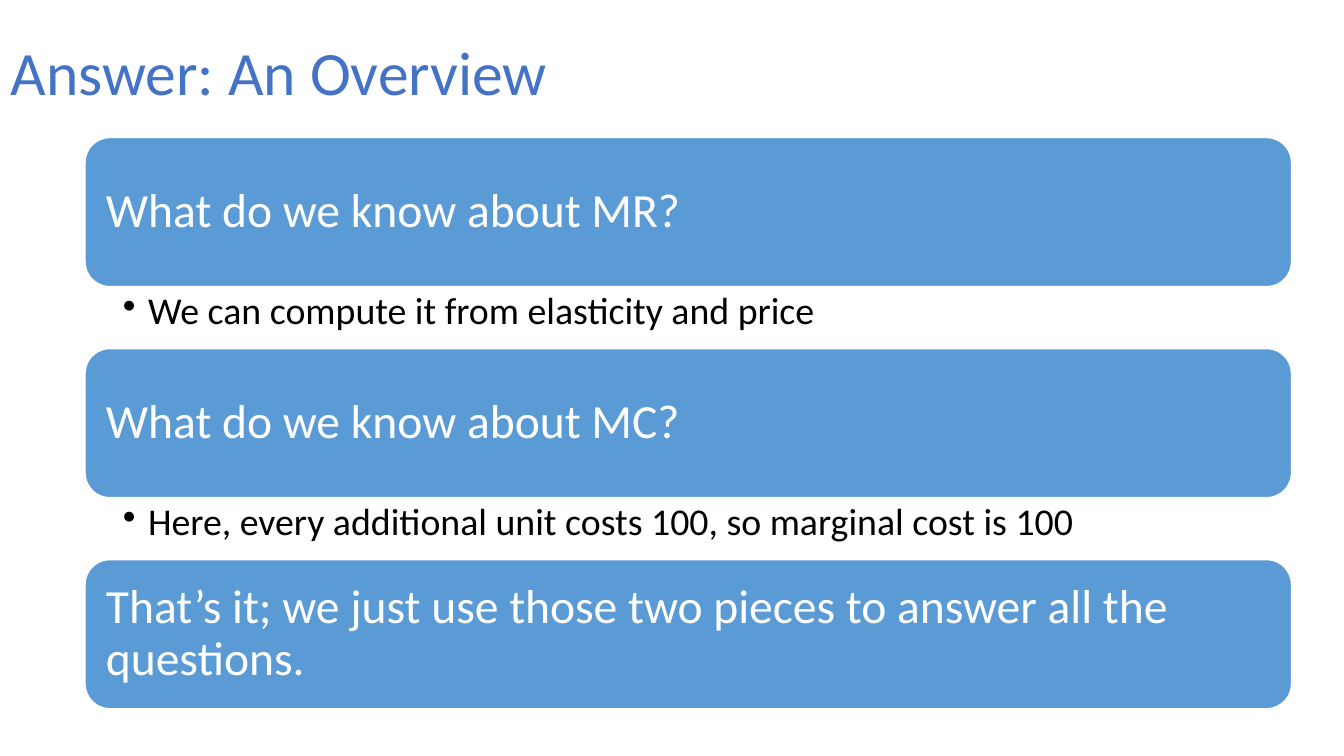
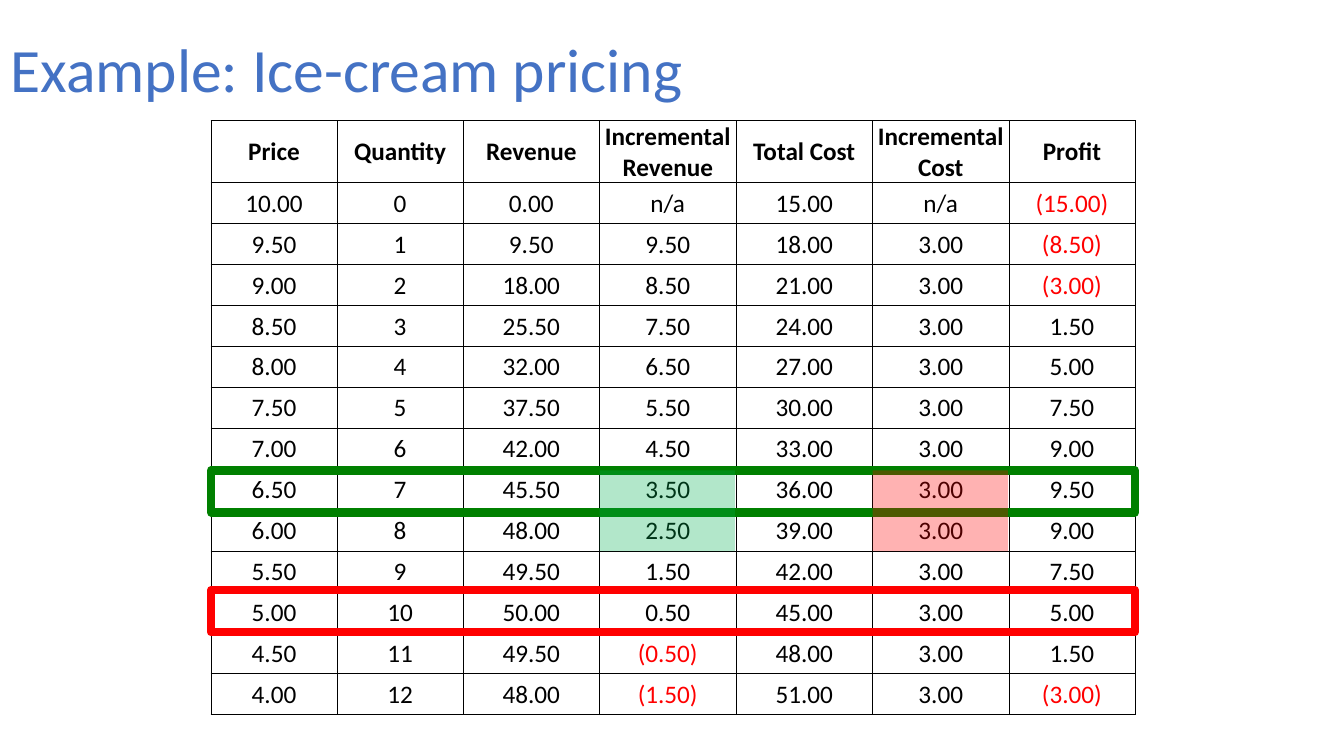
from lxml.etree import SubElement
from pptx import Presentation
from pptx.dml.color import RGBColor
from pptx.enum.shapes import MSO_SHAPE
from pptx.enum.text import MSO_ANCHOR, PP_ALIGN
from pptx.oxml.ns import qn
from pptx.util import Pt

PX = 9525
FONT = "Calibri"
COLORS = {
    "title": "4472C4", "panel": "5B9BD5", "white": "FFFFFF", "black": "000000",
    "red": "FF0000", "green": "008000", "mint": "00B050",
}
POINTS = [
    ("What do we know about MR?", "We can compute it from elasticity and price"),
    ("What do we know about MC?",
     "Here, every additional unit costs 100, so marginal cost is 100"),
    ("That’s it; we just use those two pieces to answer all the questions.", None),
]
HEADS = ["Price", "Quantity", "Revenue", "Incremental Revenue", "Total Cost",
         "Incremental Cost", "Profit"]
WIDTHS = [120, 120, 130, 130, 130, 130, 120]
HEAD_H, ROW_H, COUNT = 59, 39, 13


def emu(*sizes):
    return [size * PX for size in sizes]


def color(name):
    return RGBColor.from_string(COLORS[name])


def style(para, size, name, bold=False):
    para.font.name, para.font.size, para.font.bold = FONT, Pt(size), bold
    para.font.color.rgb = color(name)


def write(shape, text, size, name, pads, anchor=MSO_ANCHOR.MIDDLE):
    """Put one left-aligned paragraph in a shape; pads are left, top, right, bottom."""
    frame = shape.text_frame
    frame.word_wrap, frame.vertical_anchor = True, anchor
    (frame.margin_left, frame.margin_top,
     frame.margin_right, frame.margin_bottom) = emu(*pads)
    para = frame.paragraphs[0]
    para.text, para.line_spacing, para.alignment = text, 0.9, PP_ALIGN.LEFT
    style(para, size, name)
    return para


def add_title(slide, text, top):
    box = slide.shapes.add_textbox(*emu(0, top, 1104, 139))
    write(box, text, 44, "title", (10, 5, 10, 5))


def add_box(slide, kind, box, fill=None, line=None, width=1):
    shape = slide.shapes.add_shape(kind, *emu(*box))
    shape.shadow.inherit = False
    if fill:
        shape.fill.solid()
        shape.fill.fore_color.rgb = color(fill)
    else:
        shape.fill.background()
    if line:
        shape.line.color.rgb = color(line)
        shape.line.width = Pt(width)
    else:
        shape.line.fill.background()
    return shape


def add_note(slide, text, box):
    """Add a bulleted line below a panel."""
    note = slide.shapes.add_textbox(*emu(*box))
    para = write(note, text, 27, "black", (36, 5, 25, 5), MSO_ANCHOR.TOP)
    props = para._p.get_or_add_pPr()
    props.set("marL", str(24 * PX))
    props.set("indent", str(-24 * PX))
    SubElement(props, qn("a:buChar"), char="•")


def add_list(slide, left, top, width):
    high, gap = 142, 59
    for i, (head, note) in enumerate(POINTS):
        y = top + i * (high + gap)
        panel = add_box(slide, MSO_SHAPE.ROUNDED_RECTANGLE,
                        (left, y, width, high), "panel", "white")
        write(panel, head, 34, "white", (13, 13, 13, 13))
        if note:
            add_note(slide, note, (left, y + high, width, gap))


def money(value):
    return f"({-value:.2f})" if value < 0 else f"{value:.2f}"


def price_row(count):
    """Work out one row of the table from the quantity sold."""
    price, cost = 10 - count / 2, 15 + 3 * count
    sales = price * count
    extra = sales - (price + 0.5) * (count - 1)
    steps = (money(extra), money(3)) if count else ("n/a", "n/a")
    return [money(price), str(count), money(sales), steps[0], money(cost),
            steps[1], money(sales - cost)]


def set_edges(cell):
    props = cell._tc.get_or_add_tcPr()
    for i, side in enumerate(("lnL", "lnR", "lnT", "lnB")):
        edge = props.makeelement(qn("a:" + side), {"w": str(Pt(0.5))})
        fill = SubElement(edge, qn("a:solidFill"))
        SubElement(fill, qn("a:srgbClr"), val=COLORS["black"])
        props.insert(i, edge)


def fill_cell(cell, text, bold):
    cell.fill.background()
    cell.vertical_anchor = MSO_ANCHOR.MIDDLE
    cell.margin_left = cell.margin_right = cell.margin_top = PX
    cell.margin_bottom = 0
    para = cell.text_frame.paragraphs[0]
    para.text, para.alignment = text, PP_ALIGN.CENTER
    style(para, 18, "red" if text.startswith("(") else "black", bold)
    set_edges(cell)


def add_prices(slide, left, top):
    rows = [HEADS] + [price_row(count) for count in range(COUNT)]
    size = emu(left, top, sum(WIDTHS), HEAD_H + COUNT * ROW_H)
    table = slide.shapes.add_table(len(rows), len(HEADS), *size).table
    table.first_row = table.horz_banding = False
    for col, width in zip(table.columns, WIDTHS):
        col.width = width * PX
    for r, row in enumerate(rows):
        table.rows[r].height = (ROW_H if r else HEAD_H) * PX
        for c, text in enumerate(row):
            fill_cell(table.cell(r, c), text, r == 0)


def add_marks(slide, left, top):
    """Frame two rows of the table and tint the cells that are compared."""
    def row_top(count):
        return top + HEAD_H + count * ROW_H

    for count, shift, name in ((7, 1, "green"), (10, -2, "red")):
        box = (left, row_top(count) + shift, sum(WIDTHS), 40)
        add_box(slide, MSO_SHAPE.RECTANGLE, box, line=name, width=6)
    for col, name in ((3, "mint"), (5, "red")):
        box = (left + sum(WIDTHS[:col]), row_top(7) + 1, 129, 77)
        tint = add_box(slide, MSO_SHAPE.RECTANGLE, box, name)
        shade = tint._element.spPr.find(qn("a:solidFill"))[0]
        SubElement(shade, qn("a:alpha"), val="30000")


def overview(slide):
    add_title(slide, "Answer: An Overview", 2)
    add_list(slide, 81, 131, 1149)


def pricing(slide):
    add_title(slide, "Example: Ice-cream pricing", 0)
    add_prices(slide, 201, 115)
    add_marks(slide, 201, 115)


def main():
    deck = Presentation()
    deck.slide_width, deck.slide_height = emu(1280, 720)
    for build in (overview, pricing):
        build(deck.slides.add_slide(deck.slide_layouts[6]))
    deck.save("out.pptx")


if __name__ == "__main__":
    main()
